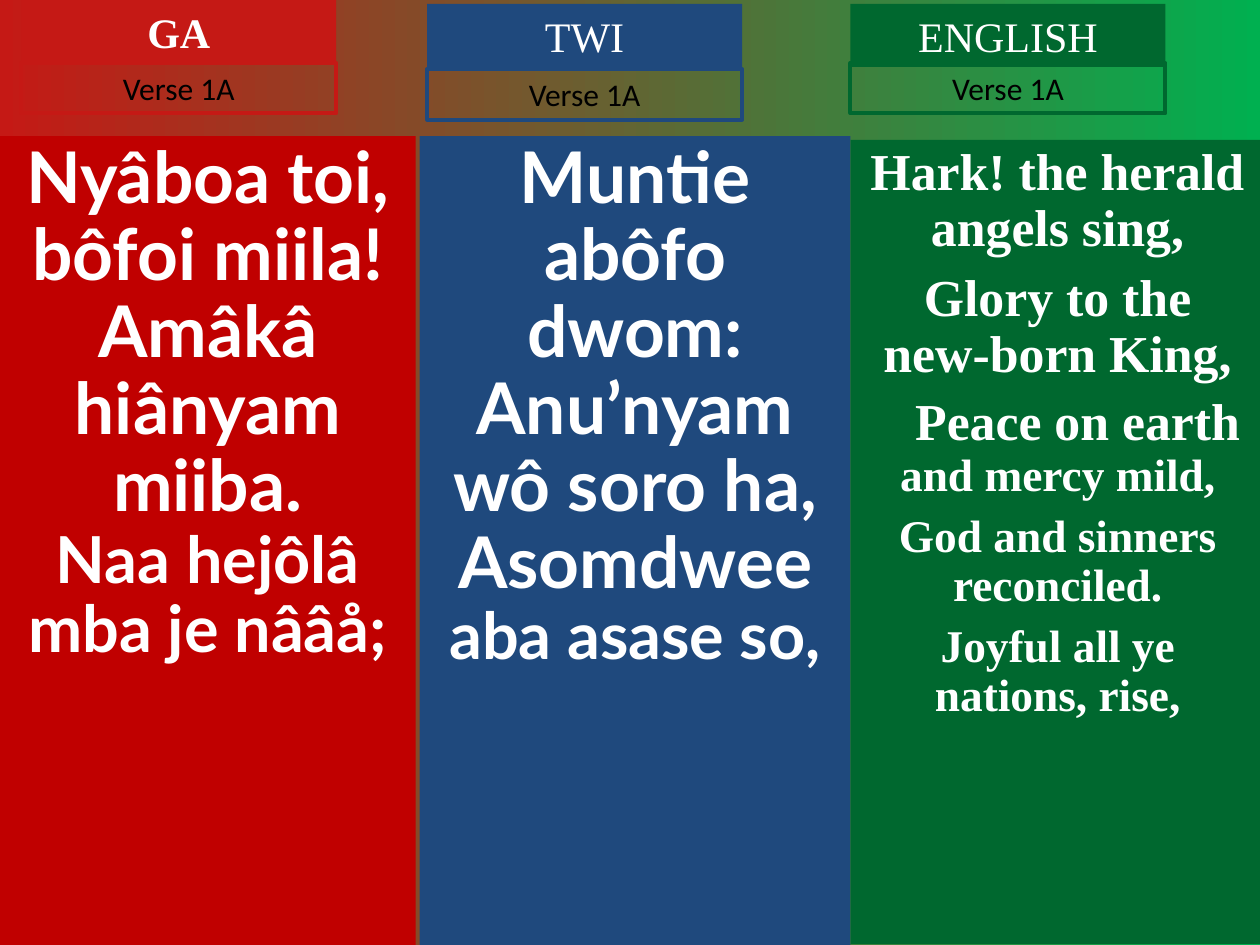
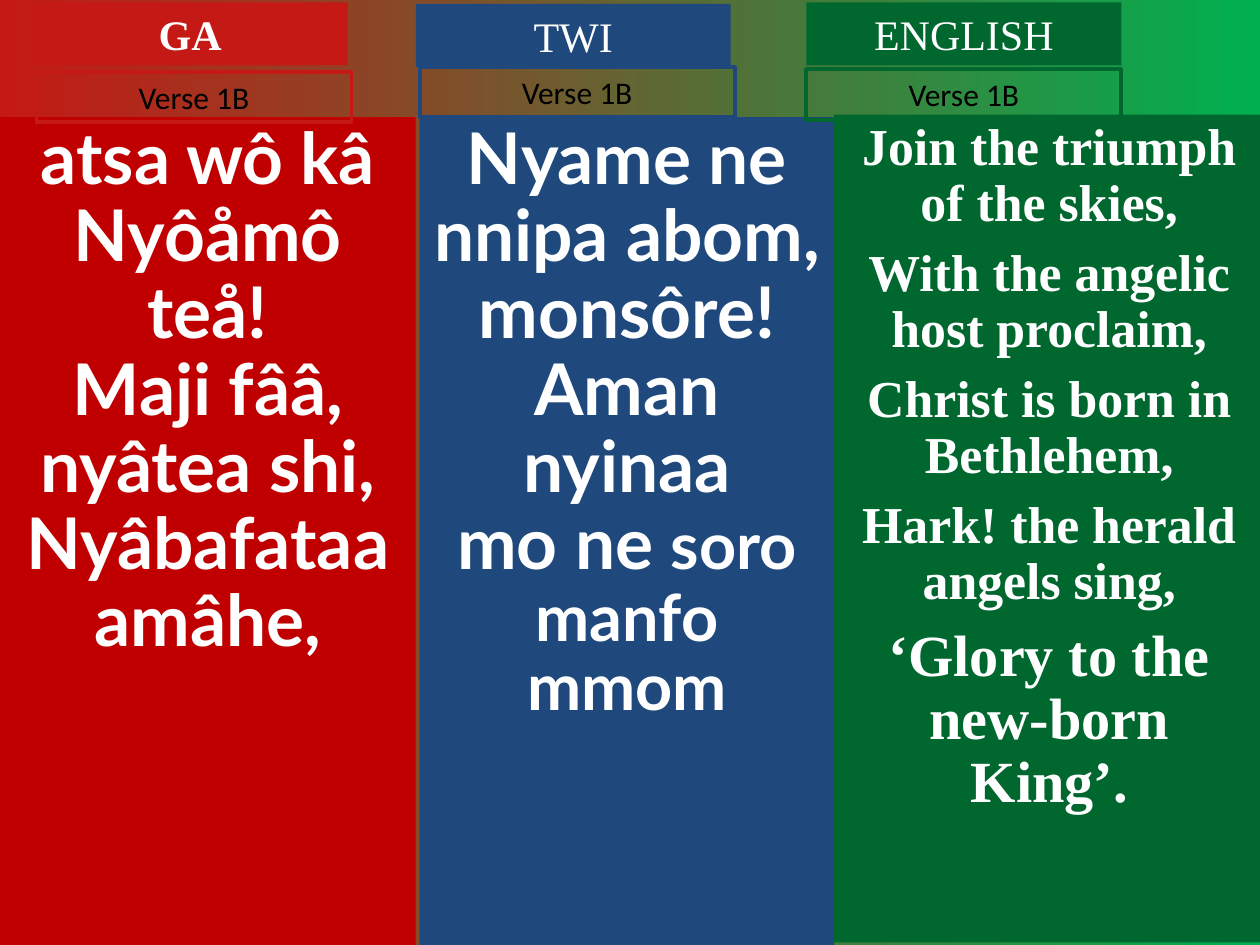
"""Builds two hymn slides with the verse in Ga, Twi and English side by side."""
from pptx import Presentation
from pptx.dml.color import RGBColor
from pptx.enum.shapes import MSO_SHAPE
from pptx.enum.text import MSO_ANCHOR, MSO_AUTO_SIZE, PP_ALIGN
from pptx.util import Pt

RECTANGLE = MSO_SHAPE.RECTANGLE
TOP = MSO_ANCHOR.TOP
CENTER = PP_ALIGN.CENTER
GROW = MSO_AUTO_SIZE.SHAPE_TO_FIT_TEXT

RED = RGBColor(0xC5, 0x19, 0x15)
DEEP_RED = RGBColor(0xC0, 0x00, 0x00)
BLUE = RGBColor(0x1F, 0x49, 0x7D)
GREEN = RGBColor(0x00, 0x68, 0x2F)
BRIGHT_GREEN = RGBColor(0x00, 0xB0, 0x50)
WHITE = RGBColor(0xFF, 0xFF, 0xFF)
BLACK = RGBColor(0x00, 0x00, 0x00)

SERIF = "Times New Roman"
HEADER_WIDTH, HEADER_HEIGHT, LABEL_HEIGHT = 180, 36, 28.8
LARGE, MEDIUM = 40.7, 37
HYMN, HYMN_SMALL, HYMN_LARGE = 29.6, 25.9, 33.3

# name, header and label colour, panel colour, verse font, bold header
LANGUAGES = [
    ("GA", RED, DEEP_RED, "Lato", True),
    ("TWI", BLUE, BLUE, "Lato", False),
    ("ENGLISH", GREEN, GREEN, SERIF, False),
]

# Each column: panel box, header position, label position, verse lines.
# Each verse line: space before, first-line indent, runs of text and size.
VERSES = [
    ("Verse 1A", [
        ((0, 77.8, 237.6, 462.2), (12.2, 0), (12.2, 36), [
            (0, 0, [("Nyâboa toi, bôfoi miila!", LARGE)]),
            (0, 0, [("Amâkâ hiânyam miiba.", LARGE)]),
            (0, 0, [("Naa hejôlâ mba je nââå;", MEDIUM)]),
        ]),
        ((239.8, 77.8, 246.2, 462.2), (244.1, 2.2), (244.1, 39.6), [
            (0, 0, [("Muntie abôfo dwom:", LARGE)]),
            (0, 0, [("Anu’nyam wô soro ha,", LARGE)]),
            (0, 0, [("Asomdwee ", LARGE), ("aba asase so,", MEDIUM)]),
        ]),
        ((486, 79.9, 236.9, 459.4), (486, 2.2), (486, 36), [
            (0, 0, [("Hark! the herald angels sing,", HYMN)]),
            (8, -60, [("Glory to the\vnew-born King,", HYMN)]),
            (7, 23, [("Peace on earth ", HYMN), ("and mercy mild,", HYMN_SMALL)]),
            (7, 0, [("God and sinners reconciled.", HYMN_SMALL)]),
            (7, 0, [("Joyful all ye nations, rise,", HYMN_SMALL)]),
        ]),
    ]),
    ("Verse 1B", [
        ((0, 67, 237.6, 473), (18.7, 1.4), (20.9, 41), [
            (0, 0, [("atsa wô kâ Nyôåmô teå!", LARGE)]),
            (0, 0, [("Maji fââ, nyâtea shi,", LARGE)]),
            (0, 0, [("Nyâbafataa amâhe,", LARGE)]),
        ]),
        ((239.8, 67, 236.9, 473), (237.6, 2.2), (239.8, 38.2), [
            (0, 0, [("Nyame ne nnipa abom,", LARGE)]),
            (0, 0, [("monsôre! Aman nyinaa", LARGE)]),
            (0, 0, [("mo ne ", LARGE), ("soro manfo mmom", MEDIUM)]),
        ]),
        ((476.6, 65.5, 246.2, 473), (460.8, 1.4), (460.8, 39.6), [
            (0, 0, [("Join the triumph of the skies,", HYMN)]),
            (8, 0, [("With the angelic host proclaim,", HYMN)]),
            (8, 0, [("Christ is born in Bethlehem,", HYMN)]),
            (8, 0, [("Hark! the herald angels sing,", HYMN)]),
            (9, 0, [("‘Glory to the new-born King’.", HYMN_LARGE)]),
        ]),
    ]),
]


def add_box(slide, bounds, fill=None, outline=None):
    """Add a rectangle with top-anchored text and return it."""
    box = slide.shapes.add_shape(RECTANGLE, *[Pt(length) for length in bounds])
    box.shadow.inherit = False
    if fill is None:
        box.fill.background()
    else:
        box.fill.solid()
        box.fill.fore_color.rgb = fill
    if outline is None:
        box.line.fill.background()
    else:
        box.line.color.rgb = outline
        box.line.width = Pt(2.25)
    box.text_frame.word_wrap = True
    box.text_frame.vertical_anchor = TOP
    return box


def style_text(part, font_name, size, color, bold):
    """Format the font of a run or paragraph."""
    part.font.name = font_name
    part.font.size = Pt(size)
    part.font.color.rgb = color
    part.font.bold = bold


presentation = Presentation()
presentation.slide_width, presentation.slide_height = Pt(720), Pt(540)
blank_layout = presentation.slide_layouts[6]

for verse_name, columns in VERSES:
    slide = presentation.slides.add_slide(blank_layout)
    backdrop = slide.background.fill
    backdrop.gradient()
    backdrop.gradient_angle = 0
    for stop, color in zip(backdrop.gradient_stops, (RED, BRIGHT_GREEN)):
        stop.color.rgb = color

    for language, column in zip(LANGUAGES, columns):
        language_name, accent, panel_color, verse_font, bold_header = language
        panel_bounds, header_position, label_position, lines = column

        panel = add_box(slide, panel_bounds, fill=panel_color)
        for number, (space_before, indent, runs) in enumerate(lines):
            frame = panel.text_frame
            line = frame.add_paragraph() if number else frame.paragraphs[0]
            line.text = "".join(text for text, size in runs[:1])
            for text, size in runs[1:]:
                line.add_run().text = text
            line.alignment = CENTER
            line.line_spacing = 0.9
            line.space_before = Pt(space_before)
            if indent:
                line._p.get_or_add_pPr().set("indent", str(Pt(indent)))
            sizes = [size for text, size in runs]
            for position, run in enumerate(line.runs):
                size = sizes[min(position, len(sizes) - 1)]
                style_text(run, verse_font, size, WHITE, True)

        header = add_box(slide, (*header_position, HEADER_WIDTH, HEADER_HEIGHT), fill=accent)
        label = add_box(slide, (*label_position, HEADER_WIDTH, LABEL_HEIGHT), outline=accent)
        for box, text, font_name, size, color, bold in (
            (header, language_name, SERIF, 24, WHITE, bold_header),
            (label, verse_name, "Calibri", 18, BLACK, False),
        ):
            box.text_frame.auto_size = GROW
            box.text_frame.text = text
            caption = box.text_frame.paragraphs[0]
            caption.alignment = CENTER
            style_text(caption.runs[0], font_name, size, color, bold)

presentation.save("out.pptx")
